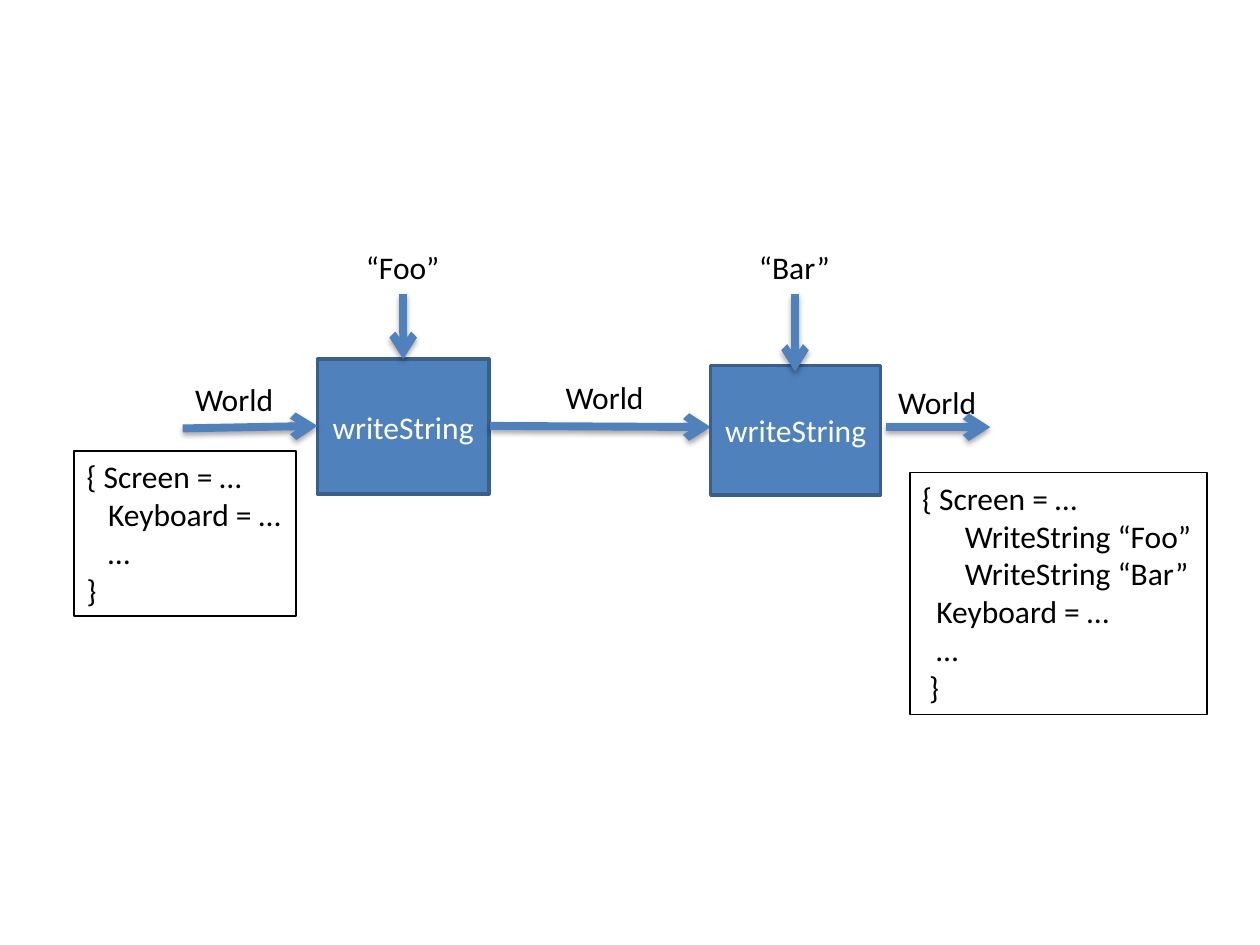
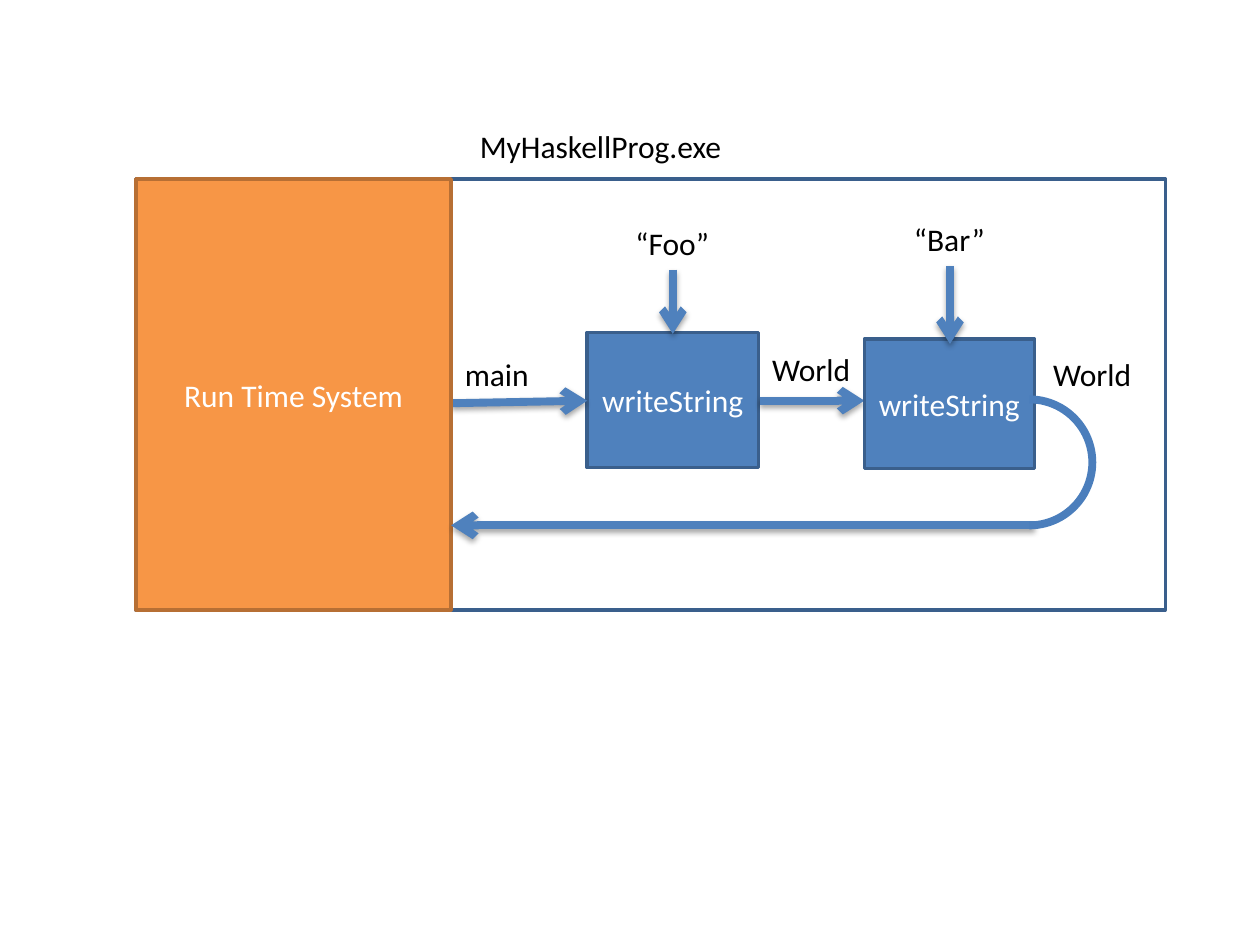
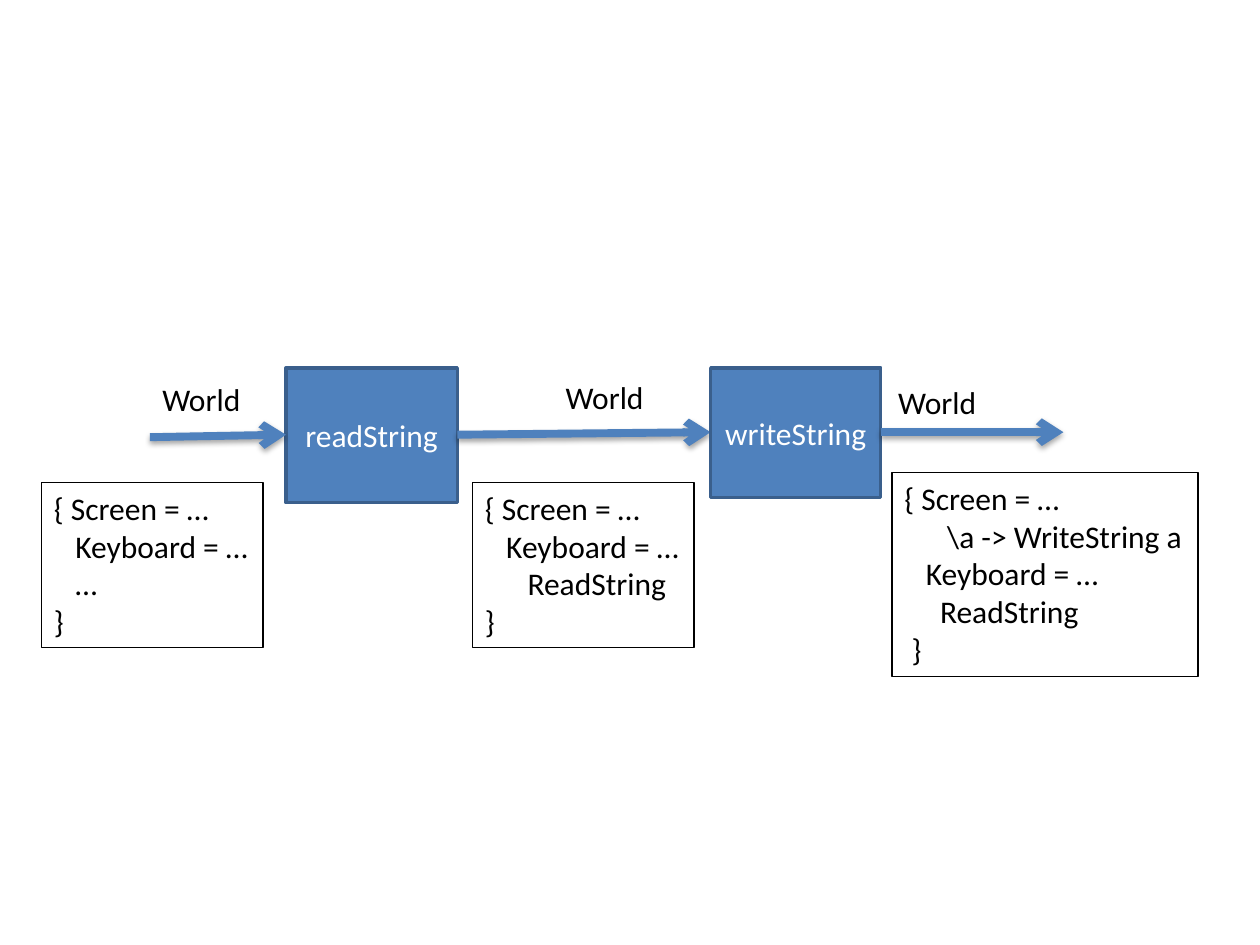
from dataclasses import dataclass

from lxml.etree import SubElement
from pptx import Presentation
from pptx.dml.color import RGBColor as RGB
from pptx.enum.shapes import MSO_CONNECTOR as CONNECTOR, MSO_SHAPE as SHAPE
from pptx.enum.text import MSO_ANCHOR as ANCHOR, MSO_AUTO_SIZE as AUTO, PP_ALIGN as ALIGN
from pptx.oxml.ns import qn
from pptx.util import Inches, Pt

COLS, ROWS = 100, 75


@dataclass(frozen=True)
class Theme:
    font: str = "Calibri"
    size: float = 18
    space: float = 4.07
    ink: str = "000000"
    paper: str = "FFFFFF"
    blue: str = "4F81BD"
    blue_edge: str = "3A5F8C"
    arc: str = "4B7EBC"
    orange: str = "F79646"
    orange_edge: str = "B76F34"
    thin: float = 1
    edge: float = 2
    flow: float = 4.5


class Diagram:
    def __init__(self, theme):
        self.theme = theme
        self.prs = Presentation()
        self.prs.slide_width, self.prs.slide_height = Inches(10), Inches(7.5)
        self.col = self.prs.slide_width / COLS
        self.row = self.prs.slide_height / ROWS

    def new_slide(self):
        self.slide = self.prs.slides.add_slide(self.prs.slide_layouts[6])

    def place(self, x, y, w, h):
        return [round(v) for v in (x * self.col, y * self.row, w * self.col, h * self.row)]

    def style(self, p, color):
        for r in p.runs:
            r.font.name, r.font.size = self.theme.font, Pt(self.theme.size)
            r.font.color.rgb = RGB.from_string(color)

    def shape(self, kind, at, fill, line, width):
        sp = self.slide.shapes.add_shape(kind, *self.place(*at))
        sp.shadow.inherit = False
        if fill:
            sp.fill.solid()
            sp.fill.fore_color.rgb = RGB.from_string(fill)
        else:
            sp.fill.background()
        sp.line.color.rgb = RGB.from_string(line)
        sp.line.width = Pt(width)
        return sp

    def box(self, text, at, fill=None, line=None):
        t = self.theme
        sp = self.shape(SHAPE.RECTANGLE, at, fill, line or t.blue_edge, t.edge)
        if text:
            tf = sp.text_frame
            tf.text = text
            tf.word_wrap, tf.vertical_anchor = True, ANCHOR.MIDDLE
            p = tf.paragraphs[0]
            p.alignment = ALIGN.CENTER
            self.style(p, t.paper)

    def first_call(self, x, y, text="writeString"):
        self.box(text, (x, y, 13.6, 10.7), self.theme.blue)

    def second_call(self, x, y):
        self.box("writeString", (x, y, 13.5, 10.3), self.theme.blue)

    def label(self, text, x, y, w=8.3):
        tf = self.slide.shapes.add_textbox(*self.place(x, y, w, 4)).text_frame
        tf.text = text
        tf.word_wrap, tf.auto_size = False, AUTO.SHAPE_TO_FIT_TEXT
        self.style(tf.paragraphs[0], self.theme.ink)

    def arrow(self, x1, y1, x2, y2):
        t = self.theme
        ends = self.place(x1, y1, x2, y2)
        cn = self.slide.shapes.add_connector(CONNECTOR.STRAIGHT, *ends)
        cn.line.color.rgb = RGB.from_string(t.blue)
        cn.line.width = Pt(t.flow)
        spPr = cn._element.spPr
        SubElement(spPr.find(qn("a:ln")), qn("a:tailEnd"), type="arrow")
        shadow = SubElement(SubElement(spPr, qn("a:effectLst")), qn("a:outerShdw"),
                            blurRad="40000", dist="23000", dir="5400000", rotWithShape="0")
        color = SubElement(shadow, qn("a:srgbClr"), val=t.ink)
        SubElement(color, qn("a:alpha"), val="35000")

    def argument(self, text, center, top, w, length):
        start = top + 4.1
        self.arrow(center, start, center, start + length)
        self.label(text, center - w / 2, top, w)

    def arc(self, at):
        sp = self.shape(SHAPE.ARC, at, None, self.theme.arc, self.theme.flow)
        sp.adjustments[0], sp.adjustments[1] = 162, 54

    def state(self, at, lines):
        t = self.theme
        sp = self.shape(SHAPE.RECTANGLE, at, t.paper, t.ink, t.thin)
        tf = sp.text_frame
        tf.text = "\n".join(text for _, text in lines)
        tf.word_wrap, tf.auto_size = False, AUTO.SHAPE_TO_FIT_TEXT
        tf.vertical_anchor = ANCHOR.TOP
        for p, (indent, _) in zip(tf.paragraphs, lines):
            p.alignment = ALIGN.LEFT
            if indent:
                p._p.get_or_add_pPr().set("marL", str(Pt(indent * t.space)))
            self.style(p, t.ink)


SCREEN = (0, "{ Screen = …")
KEYBOARD = "Keyboard = …"
INITIAL = [SCREEN, (3, KEYBOARD), (3, "…"), (0, "}")]


def write_twice(d):
    d.new_slide()
    d.first_call(25.2, 28.5)
    d.argument("“Foo”", 32, 19.2, 7.9, 5.2)
    d.arrow(14.5, 34, 25.2, 33.8)
    d.label("World", 14.5, 29.7)
    d.arrow(38.9, 33.8, 56.4, 33.9)
    d.label("World", 43.9, 29.5)
    d.second_call(56.4, 29)
    d.argument("“Bar”", 63.1, 19.2, 7.7, 6.2)
    d.label("World", 70.3, 29.9)
    d.arrow(70.3, 33.9, 78.6, 33.9)
    d.state((5.9, 35.8, 17.6, 13.1), INITIAL)
    d.state((72.2, 37.5, 23.6, 19.2),
            [SCREEN, (6, "WriteString “Foo”"), (6, "WriteString “Bar”"),
             (2, KEYBOARD), (2, "…"), (1, "}")])


def run_time_system(d):
    t = d.theme
    d.new_slide()
    d.first_call(46.6, 26.4)
    d.argument("“Foo”", 53.4, 17.3, 7.9, 5.1)
    d.arrow(35.9, 32, 46.6, 31.8)
    d.label("main", 35.9, 27.7, 7.2)
    d.arrow(60.3, 31.8, 68.6, 31.8)
    d.label("World", 60.3, 27.3)
    d.second_call(68.6, 26.9)
    d.argument("“Bar”", 75.4, 17, 7.7, 6.2)
    d.label("World", 82.6, 27.7)
    d.box("", (10.8, 14.2, 81.7, 34.2))
    d.box("Run Time System", (10.8, 14.2, 25, 34.2), t.orange, t.orange_edge)
    d.arrow(82.1, 41.7, 35.8, 41.7)
    d.arc((76.7, 31.7, 10, 10))
    d.label("MyHaskellProg.exe", 37.1, 9.6, 21.4)


def read_then_write(d):
    d.new_slide()
    d.first_call(22.7, 29.2, "readString")
    d.arrow(11.9, 34.7, 22.7, 34.5)
    d.label("World", 11.9, 29.7)
    d.arrow(36.3, 34.5, 56.4, 34.3)
    d.label("World", 43.9, 29.5)
    d.second_call(56.4, 29.2)
    d.label("World", 70.3, 29.9)
    d.arrow(69.9, 34.3, 84.4, 34.3)
    d.state((3.3, 38.3, 17.6, 13.1), INITIAL)
    d.state((70.8, 37.5, 24.3, 16.2),
            [SCREEN, (6, "\\a -> WriteString a"), (3, KEYBOARD), (5, "ReadString"), (1, "}")])
    d.state((37.5, 38.3, 17.6, 13.1),
            [SCREEN, (3, KEYBOARD), (6, "ReadString"), (0, "}")])


diagram = Diagram(Theme())
for build in (write_twice, run_time_system, read_then_write):
    build(diagram)
diagram.prs.save("out.pptx")
